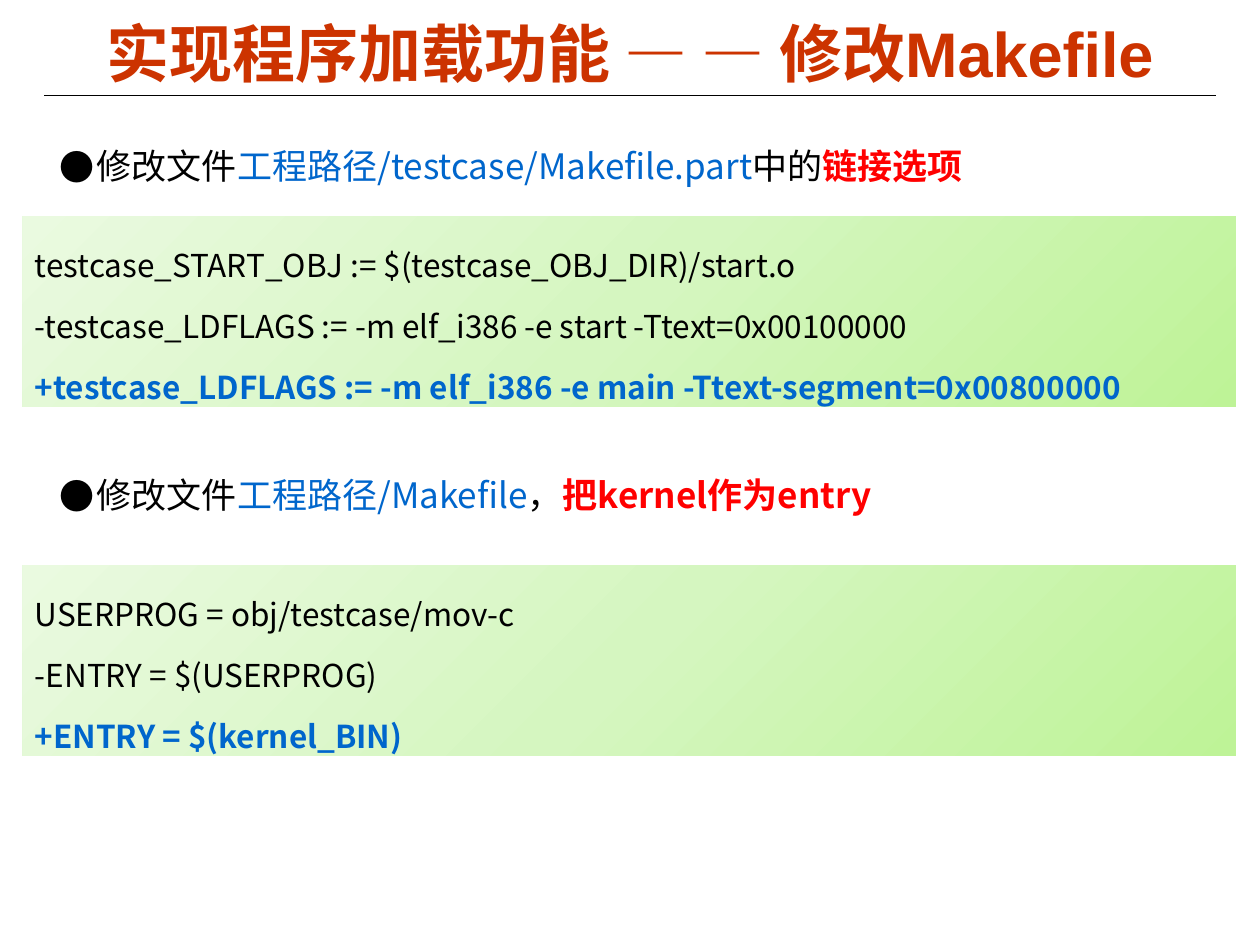
import copy

import lxml.etree
import pptx
import pptx.dml.color
import pptx.enum.dml
import pptx.enum.shapes
import pptx.enum.text
import pptx.oxml.ns
import pptx.util

Pt = pptx.util.Pt
RGBColor = pptx.dml.color.RGBColor
qn = pptx.oxml.ns.qn

BLACK = RGBColor(0x00, 0x00, 0x00)
BLUE = RGBColor(0x00, 0x66, 0xCC)
RED = RGBColor(0xFF, 0x00, 0x00)
TITLE_RED = RGBColor(0xCC, 0x33, 0x00)
GREENS = [RGBColor(0xBE, 0xF3, 0x97), RGBColor(0xD5, 0xF6, 0xC0), RGBColor(0xEA, 0xFA, 0xE0)]
TITLE_FONT = "Arial"
TEXT_FONT = "Noto Sans CJK SC"
LINE_HEIGHT = 35
BULLET_PITCH = 188
BULLET_INDENT = 21.5
PARAGRAPH_GAP = 6


def place(shape, box):
    shape.left, shape.top, shape.width, shape.height = [Pt(length) for length in box]


def format_run(run, size, color, bold=False, font_name=TEXT_FONT):
    run.font.size = Pt(size)
    run.font.bold = bold
    run.font.name = font_name
    run.font.color.rgb = color
    east_asian = lxml.etree.Element(qn("a:ea"), typeface=TEXT_FONT)
    run.font._element.find(qn("a:latin")).addnext(east_asian)


def prepare_frame(text_frame, anchor):
    text_frame.word_wrap = True
    text_frame.auto_size = pptx.enum.text.MSO_AUTO_SIZE.NONE
    text_frame.vertical_anchor = anchor


def add_bullet(paragraph):
    properties = paragraph._p.get_or_add_pPr()
    properties.set("marL", str(Pt(BULLET_INDENT)))
    properties.set("indent", str(-Pt(BULLET_INDENT)))
    lxml.etree.SubElement(properties, qn("a:buFont"), typeface=TEXT_FONT)
    lxml.etree.SubElement(properties, qn("a:buChar"), char="●")


def add_title(slide, box, text):
    title = slide.shapes.title
    place(title, box)
    prepare_frame(title.text_frame, pptx.enum.text.MSO_ANCHOR.MIDDLE)
    title.text_frame.text = text
    paragraph = title.text_frame.paragraphs[0]
    paragraph.alignment = pptx.enum.text.PP_ALIGN.CENTER
    format_run(paragraph.runs[0], 36, TITLE_RED, True, TITLE_FONT)


def add_title_rule(slide, left, right, top):
    rule = slide.shapes.add_connector(
        pptx.enum.shapes.MSO_CONNECTOR.STRAIGHT, Pt(left), Pt(top), Pt(right), Pt(top))
    rule.line.color.rgb = BLACK
    rule.line.width = Pt(0.75)
    lxml.etree.SubElement(rule._element.spPr, qn("a:effectLst"))


def add_steps(slide, box, steps):
    body = slide.placeholders[1]
    place(body, box)
    text_frame = body.text_frame
    prepare_frame(text_frame, pptx.enum.text.MSO_ANCHOR.TOP)
    for index, step in enumerate(steps):
        paragraph = text_frame.add_paragraph() if index else text_frame.paragraphs[0]
        paragraph.line_spacing = Pt(LINE_HEIGHT)
        paragraph.space_before = Pt(BULLET_PITCH - LINE_HEIGHT - PARAGRAPH_GAP if index else 0)
        paragraph.space_after = Pt(PARAGRAPH_GAP)
        add_bullet(paragraph)
        for text, color, bold in step:
            run = paragraph.add_run()
            run.text = text
            format_run(run, 20, color, bold)


def fill_with_gradient(shape):
    shape.fill.gradient()
    shape.fill.gradient_angle = 135
    stop_list = shape._element.spPr.find(".//" + qn("a:gsLst"))
    stop_list.insert(1, copy.deepcopy(stop_list[0]))
    for index, (stop, color) in enumerate(zip(shape.fill.gradient_stops, GREENS)):
        stop.position = index / 2
        stop.color.rgb = color


def add_code_panel(slide, box, lines):
    panel = slide.shapes.add_shape(
        pptx.enum.shapes.MSO_SHAPE.RECTANGLE, *[Pt(length) for length in box])
    panel.shadow.inherit = False
    panel.line.fill.background()
    fill_with_gradient(panel)
    text_frame = panel.text_frame
    prepare_frame(text_frame, pptx.enum.text.MSO_ANCHOR.TOP)
    text_frame.text = "\n".join(lines)
    for paragraph in text_frame.paragraphs:
        paragraph.alignment = pptx.enum.text.PP_ALIGN.LEFT
        paragraph.line_spacing = Pt(LINE_HEIGHT)
        added = paragraph.text.startswith("+")
        format_run(paragraph.runs[0], 18, BLUE if added else BLACK, added)


def main():
    presentation = pptx.Presentation()
    presentation.slide_width = Pt(720)
    presentation.slide_height = Pt(540)
    slide = presentation.slides.add_slide(presentation.slide_layouts[1])

    add_title_rule(slide, 25.2, 694.8, 54.7)
    add_title(slide, (36, 8, 648, 44), "实现程序加载功能 — — 修改Makefile")
    add_steps(slide, (26.6, 67.7, 676.8, 232.6), [
        [("修改文件", BLACK, False), ("工程路径/testcase/Makefile.part", BLUE, False),
         ("中的", BLACK, False), ("链接选项", RED, True)],
        [("修改文件", BLACK, False), ("工程路径/Makefile", BLUE, False),
         ("，", BLACK, False), ("把kernel作为entry", RED, True)],
    ])
    add_code_panel(slide, (12.8, 123.6, 693.4, 109), [
        "testcase_START_OBJ := $(testcase_OBJ_DIR)/start.o",
        "-testcase_LDFLAGS := -m elf_i386 -e start -Ttext=0x00100000",
        "+testcase_LDFLAGS := -m elf_i386 -e main -Ttext-segment=0x00800000",
    ])
    add_code_panel(slide, (12.8, 323, 693.4, 109), [
        "USERPROG = obj/testcase/mov-c",
        "-ENTRY = $(USERPROG)",
        "+ENTRY = $(kernel_BIN)",
    ])
    presentation.save("out.pptx")


if __name__ == "__main__":
    main()
